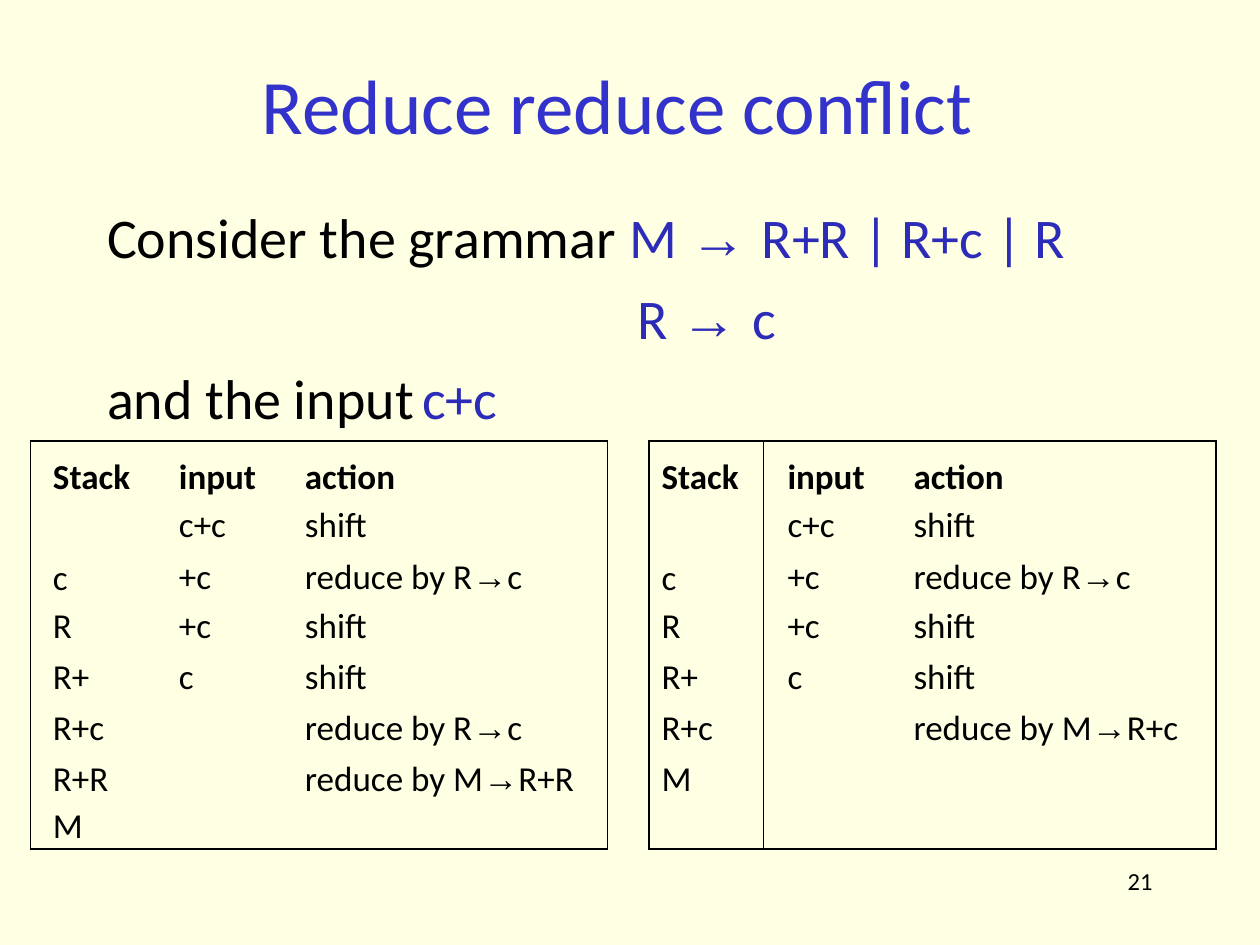
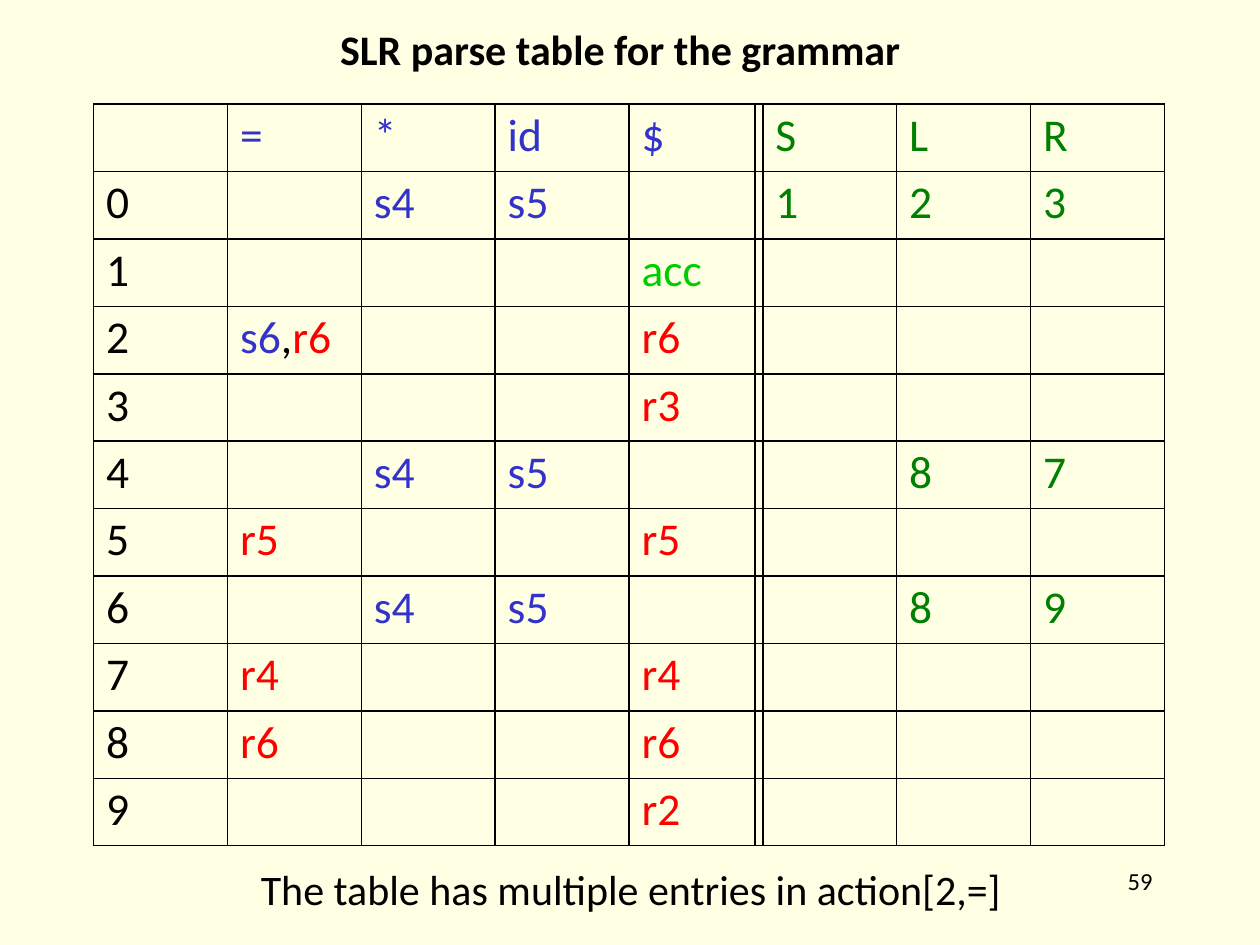
import pptx
import pptx.dml.color
import pptx.oxml
import pptx.util
import lxml.etree

BLACK, BLUE, NAVY = "000000", "3333CC", "2C2CB8"
GREEN, LIME, RED, CREAM = "008000", "00CC00", "FF0000", "FFFFE4"
NS = "http://schemas.openxmlformats.org/drawingml/2006/main"
FONT, SIGN = "Calibri", "Arial"
TAB = 304

GRAMMAR = [
    dict(runs=[("Consider the grammar ", BLACK), ("M ", NAVY), ("→ R+R | R+c | R", NAVY)], gap=8.7, left=0.7),
    dict(runs=[("R → c", NAVY)], gap=7.7, left=TAB),
    dict(runs=[("and the input\t", BLACK), ("c+c", NAVY)], gap=7.5, left=0.7, tab=TAB),
]

HEAD = ["Stack", "input", "action"]
TRACE = [
    (HEAD, HEAD),
    (["c", "c+c|+c", "shift|reduce by R→c"], ["c", "c+c|+c", "shift|reduce by R→c"]),
    (["R", "+c", "shift"], ["R", "+c", "shift"]),
    (["R+|R+c|R+R", "c", "shift|reduce by R→c|reduce by M→R+R"],
     ["R+|R+c|M", "c", "shift|reduce by M→R+c"]),
    (["M", "", ""], ["", "", ""]),
]
TRACE_COLS = [71.3, 72, 186.5, 23.8, 65.5, 72, 186.5]
TRACE_ROWS = [37.4, 57.6, 28.8, 86.4, 23]
TRACE_PADS = [13, 13.7, 13.7, 0, 7.2, 13.7, 13.7]
TRACE_EDGES = {0, 3, 4, 5, 7}
TRACE_GAP = 3

STATES = [
    ["", "=", "*", "id", "$", "", "S", "L", "R"],
    ["0", "", "s4", "s5", "", "", "1", "2", "3"],
    ["1", "", "", "", "acc", "", "", "", ""],
    ["2", "s6,r6", "", "", "r6", "", "", "", ""],
    ["3", "", "", "", "r3", "", "", "", ""],
    ["4", "", "s4", "s5", "", "", "", "8", "7"],
    ["5", "r5", "", "", "r5", "", "", "", ""],
    ["6", "", "s4", "s5", "", "", "", "8", "9"],
    ["7", "r4", "", "", "r4", "", "", "", ""],
    ["8", "r6", "", "", "r6", "", "", "", ""],
    ["9", "", "", "", "r2", "", "", "", ""],
]
STATE_COLS = [76.5] * 4 + [72, 4.5] + [76.5] * 3
STATE_ROW = 38.55


def pt(size):
    return pptx.util.Pt(size)


def hue(code):
    return pptx.dml.color.RGBColor.from_string(code)


def put(item, vals):
    for name, val in vals.items():
        setattr(item, name, val)


def split(text):
    sign = "→ " if "→ " in text else "→"
    return [part for part in text.partition(sign) if part]


def write(frame, lines, size, bold=False):
    for num, line in enumerate(lines):
        para = frame.paragraphs[0] if num == 0 else frame.add_paragraph()
        put(para, {"space_before": pt(line.get("gap", 0)), "line_spacing": line.get("pitch", 1.0)})
        props = para._p.get_or_add_pPr()
        props.set("marL", str(pt(line.get("left", 0))))
        props.set("indent", "0")
        if "tab" in line:
            stops = lxml.etree.SubElement(props, f"{{{NS}}}tabLst")
            lxml.etree.SubElement(stops, f"{{{NS}}}tab", pos=str(pt(line["tab"])), algn="l")
        for text, code in line["runs"]:
            for part in split(text):
                run = para.add_run()
                run.text = part
                face = SIGN if "→" in part else FONT
                put(run.font, {"size": pt(size), "bold": bold, "name": face})
                run.font.color.rgb = hue(code)


def label(slide, spot, lines, size, bold=False, top=0.7):
    frame = slide.shapes.add_textbox(*map(pt, spot)).text_frame
    put(frame, {"word_wrap": True, "margin_left": 0, "margin_right": 0,
                "margin_top": pt(top), "margin_bottom": 0})
    write(frame, lines, size, bold)


def phrase(text, code=BLACK, gap=1):
    return [dict(runs=[(text, code)], gap=gap, left=0.7)]


def page(deck, num):
    slide = deck.slides.add_slide(deck.slide_layouts[6])
    label(slide, (643.7, 494, 22, 18.7), phrase(num), 14)
    return slide


def rule(cell, sides):
    props = cell._tc.get_or_add_tcPr()
    for side in "LRTB":
        wide = sides.get(side, 0)
        ink = f'<a:solidFill><a:srgbClr val="{BLACK}"/></a:solidFill>' if wide else "<a:noFill/>"
        props.append(pptx.oxml.parse_xml(
            f'<a:ln{side} xmlns:a="{NS}" w="{pt(wide)}">{ink}</a:ln{side}>'))
    cell.fill.background()


def grid(slide, left, top, cols, rows):
    frame = slide.shapes.add_table(len(rows), len(cols), pt(left), pt(top), pt(sum(cols)), pt(sum(rows)))
    table = frame.table
    put(table, {"first_row": False, "horz_banding": False})
    for col, wide in zip(table.columns, cols):
        col.width = pt(wide)
    for row, high in zip(table.rows, rows):
        row.height = pt(high)
    return table


def pad(cell, left, top):
    put(cell, {"margin_left": pt(left), "margin_right": 0, "margin_top": pt(top), "margin_bottom": 0})


def trace(slide):
    table = grid(slide, 17.3, 252, TRACE_COLS, TRACE_ROWS)
    last = len(TRACE) - 1
    for r, (one, two) in enumerate(TRACE):
        for c, text in enumerate(one + [""] + two):
            cell = table.cell(r, c)
            lower = r == 1 and c in (0, 4)
            pad(cell, TRACE_PADS[c], 8.6 if r == 0 else 29 if lower else 0)
            lines = [dict(runs=[(part, BLACK)], pitch=1.2) for part in text.split("|") if part]
            if lines:
                lines[0]["pitch"] = 1.0 if r == 0 or lower else pt(22.4 if r == last else 23.4)
                lines[0]["gap"] = 8.4 if r == 0 else 0
                write(cell.text_frame, lines, 20, r == 0)
            boxed = c != TRACE_GAP
            marks = {"L": c in TRACE_EDGES, "R": c + 1 in TRACE_EDGES,
                     "T": boxed and r == 0, "B": boxed and r == last}
            rule(cell, {side: 0.75 * on for side, on in marks.items()})


def tint(token, r, c):
    if c == 0 or token == ",":
        return BLACK
    if c > 5:
        return GREEN
    if r == 0:
        return BLUE
    return {"s": BLUE, "r": RED, "a": LIME}[token[0]]


def states(slide):
    table = grid(slide, 53.5, 59.5, STATE_COLS, [STATE_ROW] * len(STATES))
    for r, row in enumerate(STATES):
        for c, text in enumerate(row):
            cell = table.cell(r, c)
            pad(cell, 0 if c == 5 else 7.2, 2.2)
            tokens = [part for part in text.partition(",") if part]
            if tokens:
                runs = [(token, tint(token, r, c)) for token in tokens]
                write(cell.text_frame, [dict(runs=runs, gap=2)], 26)
            rule(cell, {"L": 0.75 if c == 5 else 1, "R": 0.75 if c == 4 else 1, "T": 1, "B": 1})


def main():
    deck = pptx.Presentation()
    put(deck, {"slide_width": pt(720), "slide_height": pt(540)})
    back = deck.slide_master.background.fill
    back.solid()
    back.fore_color.rgb = hue(CREAM)

    slide = page(deck, "21")
    label(slide, (149, 32.4, 420, 54.7), phrase("Reduce reduce conflict", BLUE, 1.1), 44)
    label(slide, (60.5, 107.3, 560, 140.4), GRAMMAR, 32, top=8.6)
    trace(slide)

    slide = page(deck, "59")
    states(slide)
    label(slide, (193.7, 13, 330, 31), phrase("SLR parse table for the grammar"), 24, True)
    label(slide, (148.3, 492.5, 430, 31), phrase("The table has multiple entries in action[2,=]"), 24)
    deck.save("out.pptx")


if __name__ == "__main__":
    main()
